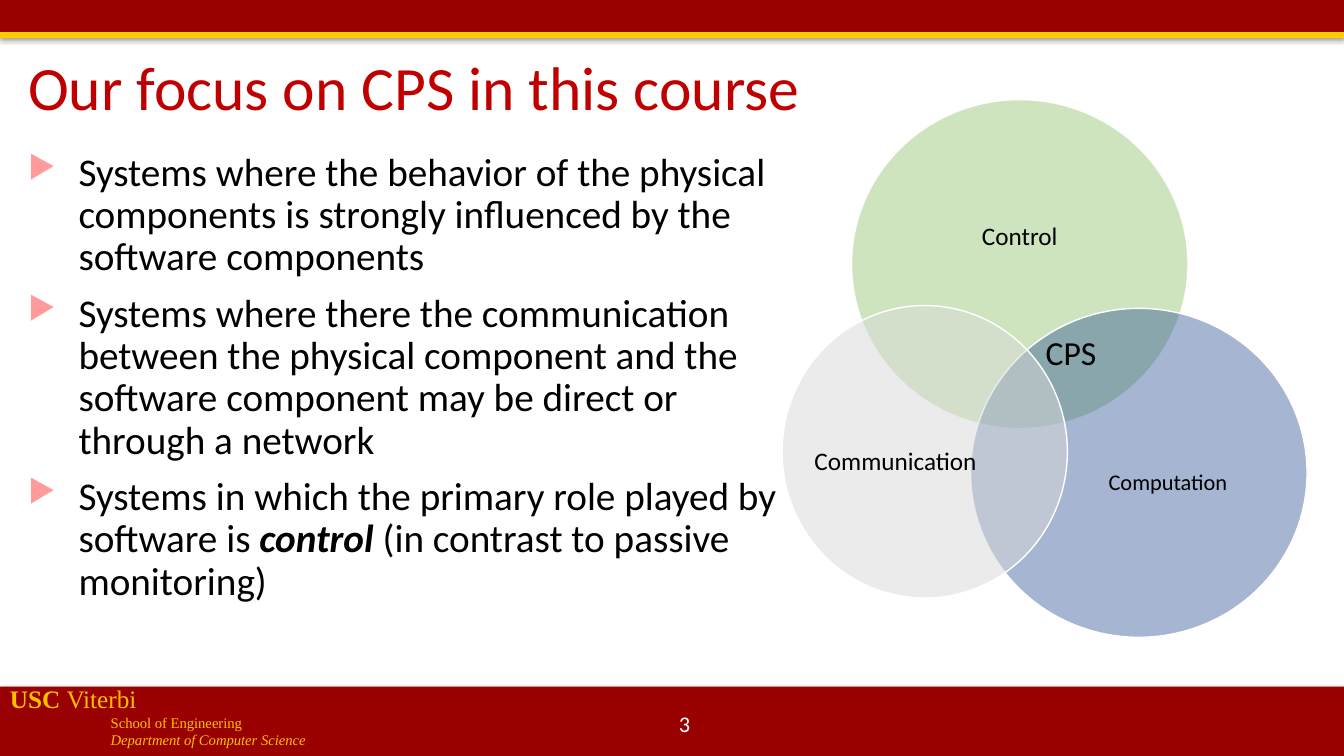
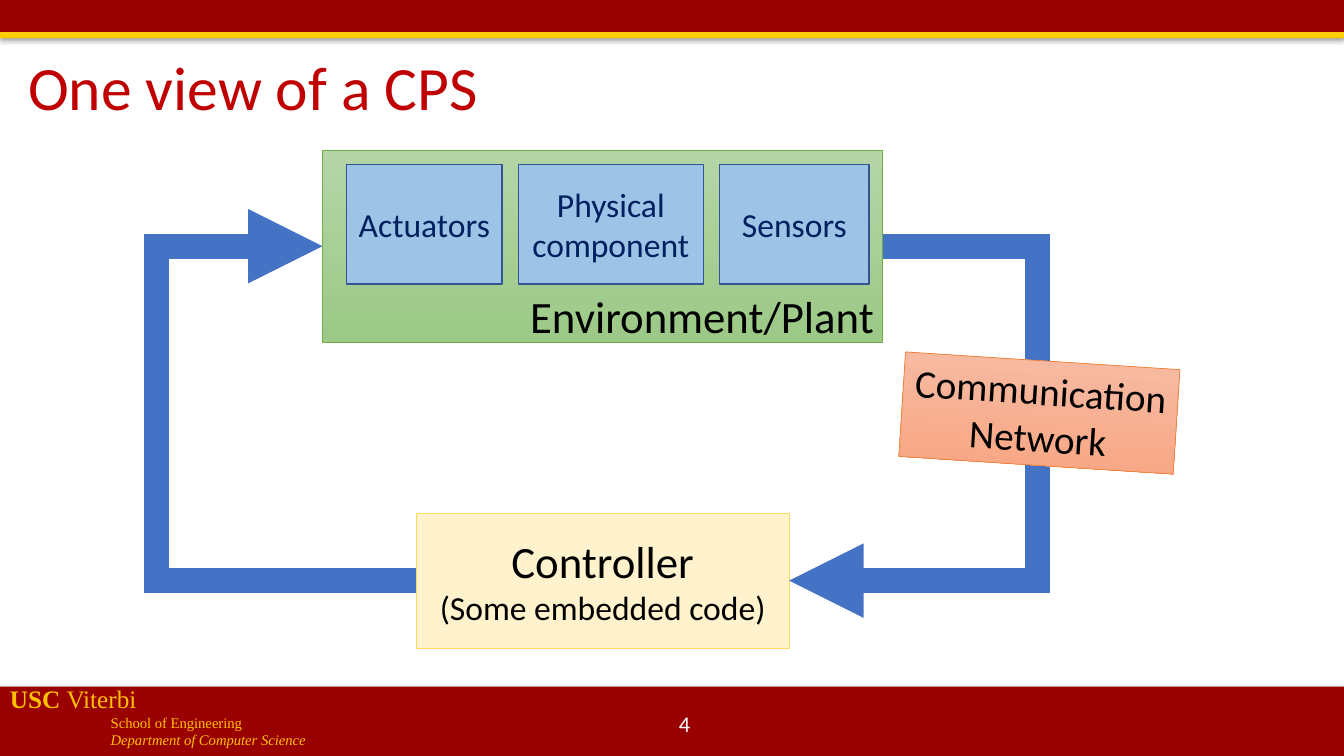
from dataclasses import dataclass
from lxml.etree import SubElement
from pptx import Presentation
from pptx.dml.color import RGBColor
from pptx.enum.shapes import MSO_CONNECTOR, MSO_SHAPE
from pptx.enum.text import MSO_ANCHOR, PP_ALIGN
from pptx.oxml.ns import qn
from pptx.util import Cm, Pt


@dataclass(frozen=True)
class Theme:
    font: str = "Calibri"
    school_font: str = "Times New Roman"
    cardinal: str = "990000"
    gold: str = "FFCC00"
    school: str = "FFC000"
    title: str = "C00000"
    text: str = "000000"
    white: str = "FFFFFF"
    bullet: str = "FF9B9B"
    component: str = "9DC3E6"
    component_line: str = "325491"
    component_text: str = "002060"
    plant: tuple = ("B5D5A7", "9CC987")
    plant_line: str = "70AD47"
    network: tuple = ("F7BDA5", "F8A582")
    network_line: str = "ED7D31"
    controller: str = "FFF2CC"
    controller_line: str = "FFD966"
    arrow: str = "4472C4"
    title_size: float = 44
    heading_size: float = 32
    body_size: float = 28
    label_size: float = 24
    circle_size: float = 18
    small_size: float = 16
    school_size: float = 10.5


THEME = Theme()
SLIDE_WIDTH, SLIDE_HEIGHT = 33.87, 19.05
FIRST_NUMBER = 3

BANDS = [
    ((0, 0, SLIDE_WIDTH, 0.84), THEME.cardinal),
    ((0, 0.81, SLIDE_WIDTH, 0.15), THEME.gold),
    ((0, 17.3, SLIDE_WIDTH, 1.75), THEME.cardinal),
]
SCHOOL_LINES = [
    (THEME.circle_size, 0, [("USC ", "b"), ("Viterbi", "")]),
    (THEME.school_size, 2.54, [("School of Engineering", "")]),
    (THEME.school_size, 2.54, [("Department of Computer Science", "i")]),
]

FOCUS_TITLE = "Our focus on CPS in this course"
FOCUS_POINTS = [
    [("Systems where the behavior of the physical components is strongly "
      "influenced by the software components", "")],
    [("Systems where there the communication between the physical component and "
      "the software component may be direct or through a network", "")],
    [("Systems in which the primary role played by software is ", ""),
     ("control ", "bi"), ("(in contrast to passive monitoring)", "")],
]
CIRCLES = [
    ("Control", (21.46, 2.51, 8.48, 8.29), "A9D18E", 57, THEME.circle_size, (0, 0, 0, 1.42)),
    ("Computation", (24.46, 7.77, 8.48, 8.29), "2F5597", 43, THEME.small_size, (1.47, 0.46, 0, 0)),
    ("Communication", (19.71, 7.7, 7.19, 7.37), "D9D9D9", 50, THEME.circle_size, (0, 0.46, 1.47, 0)),
]

VIEW_TITLE = "One view of a CPS"
COMPONENTS = [("Actuators", 3.91), ("Physical component", 4.67), ("Sensors", 3.76)]
COMPONENT_LEFT, COMPONENT_TOP, COMPONENT_HEIGHT, COMPONENT_GAP = 8.74, 4.14, 3.02, 0.41
LEFT_SIDE, RIGHT_SIDE = 1, 3
LEFT_LANE, RIGHT_LANE = 3.94, 26.14


def lengths(box):
    return [Cm(value) for value in box]


def add_paragraph(frame, runs, size, color=THEME.text, align=PP_ALIGN.LEFT, font=THEME.font):
    first = frame.paragraphs[0]
    paragraph = frame.add_paragraph() if first.runs else first
    paragraph.alignment = align
    for text, style in runs:
        run = paragraph.add_run()
        run.text = text
        run.font.name = font
        run.font.size = Pt(size)
        run.font.color.rgb = RGBColor.from_string(color)
        run.font.bold = "b" in style
        run.font.italic = "i" in style
    return paragraph


def add_text_box(slide, box, anchor=MSO_ANCHOR.TOP):
    frame = slide.shapes.add_textbox(*lengths(box)).text_frame
    frame.word_wrap = True
    frame.vertical_anchor = anchor
    return frame


def add_panel(slide, box, fill, line=None, width=0.5, kind=MSO_SHAPE.RECTANGLE):
    shape = slide.shapes.add_shape(kind, *lengths(box))
    shape.shadow.inherit = False
    if isinstance(fill, tuple):
        shape.fill.gradient()
        shape.fill.gradient_angle = 270
        for stop, color in zip(shape.fill.gradient_stops, fill):
            stop.color.rgb = RGBColor.from_string(color)
    else:
        shape.fill.solid()
        shape.fill.fore_color.rgb = RGBColor.from_string(fill)
    if line:
        shape.line.color.rgb = RGBColor.from_string(line)
        shape.line.width = Pt(width)
    else:
        shape.line.fill.background()
    frame = shape.text_frame
    frame.word_wrap = True
    frame.vertical_anchor = MSO_ANCHOR.MIDDLE
    frame.margin_left = frame.margin_right = Cm(0.2)
    return shape


def add_band(slide, box, color):
    band = add_panel(slide, box, color)
    effects = band.element.spPr.find(qn("a:effectLst"))
    shadow = SubElement(effects, qn("a:outerShdw"), blurRad=str(Pt(3.1)),
                        dist=str(Pt(1.8)), dir="5400000", rotWithShape="0")
    tint = SubElement(shadow, qn("a:srgbClr"), val=THEME.text)
    SubElement(tint, qn("a:alpha"), val="35000")


def add_slide(presentation, title, number):
    slide = presentation.slides.add_slide(presentation.slide_layouts[6])
    for box, color in BANDS:
        add_band(slide, box, color)
    school = add_text_box(slide, (0, 17.09, 15.88, 1.96))
    for size, indent, runs in SCHOOL_LINES:
        paragraph = add_paragraph(school, runs, size, THEME.school, font=THEME.school_font)
        paragraph._p.get_or_add_pPr().set("marL", str(Cm(indent)))
    heading = add_text_box(slide, (0.46, 1.19, 30.33, 2.16), MSO_ANCHOR.MIDDLE)
    add_paragraph(heading, [(title, "")], THEME.title_size, THEME.title).line_spacing = 0.9
    page = add_text_box(slide, (13.44, 17.73, 7.62, 1.02), MSO_ANCHOR.MIDDLE)
    add_paragraph(page, [(str(number), "")], THEME.small_size, THEME.white, PP_ALIGN.CENTER)
    return slide


def add_bullet(paragraph):
    properties = paragraph._p.get_or_add_pPr()
    properties.set("marL", str(Cm(1.27)))
    properties.set("indent", str(-Cm(1.27)))
    color = SubElement(properties, qn("a:buClr"))
    SubElement(color, qn("a:srgbClr"), val=THEME.bullet)
    SubElement(properties, qn("a:buSzPct"), val="80000")
    SubElement(properties, qn("a:buChar"), char="▶")


def add_circle(slide, label, box, color, opacity, size, margins):
    circle = add_panel(slide, box, color, THEME.white, 1, MSO_SHAPE.OVAL)
    tint = circle.element.spPr.find(qn("a:solidFill")).find(qn("a:srgbClr"))
    SubElement(tint, qn("a:alpha"), val=str(opacity * 1000))
    frame = circle.text_frame
    frame.word_wrap = False
    (frame.margin_left, frame.margin_top,
     frame.margin_right, frame.margin_bottom) = lengths(margins)
    add_paragraph(frame, [(label, "")], size, align=PP_ALIGN.CENTER)


def side_middle(shape, side):
    x = shape.left if side == LEFT_SIDE else shape.left + shape.width
    return x, shape.top + shape.height // 2


def add_loop_arrow(slide, source, target, side, lane):
    start, end = side_middle(source, side), side_middle(target, side)
    arrow = slide.shapes.add_connector(MSO_CONNECTOR.ELBOW, *start, *end)
    arrow.begin_connect(source, side)
    arrow.end_connect(target, side)
    arrow.line.color.rgb = RGBColor.from_string(THEME.arrow)
    arrow.line.width = Pt(17.75)
    properties = arrow.element.spPr
    bend = round((start[0] - Cm(lane)) / (start[0] - end[0]) * 100000)
    guides = properties.find(qn("a:prstGeom")).find(qn("a:avLst"))
    SubElement(guides, qn("a:gd"), name="adj1", fmla=f"val {bend}")
    line = properties.find(qn("a:ln"))
    SubElement(line, qn("a:miter"), lim="800000")
    SubElement(line, qn("a:tailEnd"), type="triangle")
    SubElement(properties, qn("a:effectLst"))


def build_focus(presentation, number):
    slide = add_slide(presentation, FOCUS_TITLE, number)
    body = add_text_box(slide, (0.46, 3.71, 20.07, 12.09))
    for index, runs in enumerate(FOCUS_POINTS):
        paragraph = add_paragraph(body, runs, THEME.body_size)
        add_bullet(paragraph)
        paragraph.line_spacing = 0.9
        paragraph.space_before = Pt(10 if index else 0)
    for circle in CIRCLES:
        add_circle(slide, *circle)
    overlap = add_text_box(slide, (26.09, 8.2, 1.8, 1.32), MSO_ANCHOR.MIDDLE)
    add_paragraph(overlap, [("CPS", "")], THEME.label_size, align=PP_ALIGN.CENTER)


def build_view(presentation, number):
    slide = add_slide(presentation, VIEW_TITLE, number)
    controller = add_panel(slide, (10.49, 12.93, 9.4, 3.4), THEME.controller, THEME.controller_line)
    for text, size in (("Controller", THEME.heading_size),
                       ("(Some embedded code)", THEME.label_size)):
        add_paragraph(controller.text_frame, [(text, "")], size, align=PP_ALIGN.CENTER)
    plant = add_panel(slide, (8.13, 3.78, 14.12, 4.85), THEME.plant, THEME.plant_line)
    left = COMPONENT_LEFT
    for label, width in COMPONENTS:
        component = add_panel(slide, (left, COMPONENT_TOP, width, COMPONENT_HEIGHT),
                              THEME.component, THEME.component_line, 1)
        add_paragraph(component.text_frame, [(label, "")], THEME.label_size,
                      THEME.component_text, PP_ALIGN.CENTER)
        left += width + COMPONENT_GAP
    add_loop_arrow(slide, controller, plant, LEFT_SIDE, LEFT_LANE)
    add_loop_arrow(slide, plant, controller, RIGHT_SIDE, RIGHT_LANE)
    network = add_panel(slide, (22.73, 9.09, 6.93, 2.64), THEME.network, THEME.network_line)
    network.rotation = 3.7
    add_paragraph(network.text_frame, [("Communication Network", "")],
                  THEME.body_size, align=PP_ALIGN.CENTER)
    plant_label = add_text_box(slide, (13.11, 7.16, 9.19, 1.63))
    add_paragraph(plant_label, [("Environment/Plant", "")], THEME.heading_size)


def main():
    presentation = Presentation()
    presentation.slide_width = Cm(SLIDE_WIDTH)
    presentation.slide_height = Cm(SLIDE_HEIGHT)
    for number, build in enumerate((build_focus, build_view), FIRST_NUMBER):
        build(presentation, number)
    presentation.save("out.pptx")


if __name__ == "__main__":
    main()
